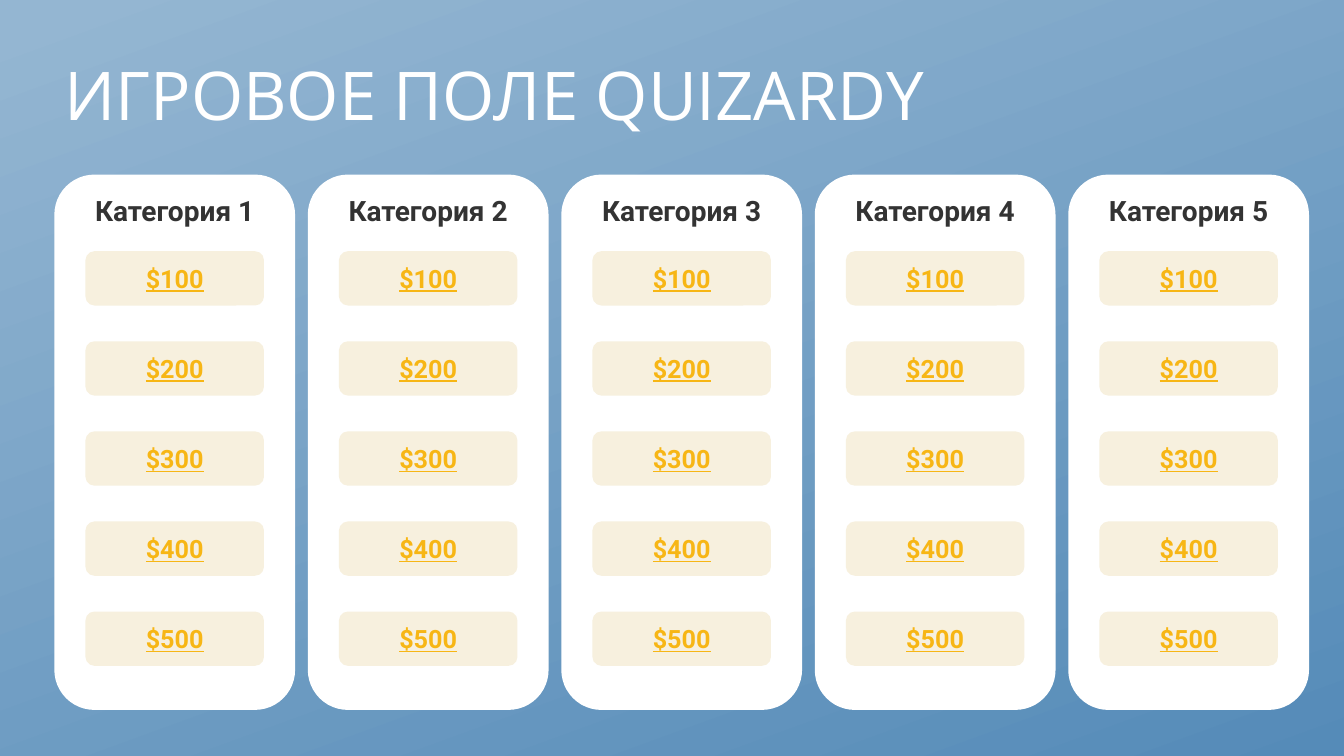
from pptx import Presentation
from pptx.dml.color import RGBColor
from pptx.enum.shapes import MSO_SHAPE
from pptx.enum.text import MSO_ANCHOR, MSO_AUTO_SIZE, PP_ALIGN
from pptx.util import Cm, Pt

CARD_SHAPE = MSO_SHAPE.FLOWCHART_ALTERNATE_PROCESS
TOP, MIDDLE = MSO_ANCHOR.TOP, MSO_ANCHOR.MIDDLE
LEFT, CENTER = PP_ALIGN.LEFT, PP_ALIGN.CENTER
NO_AUTOFIT = MSO_AUTO_SIZE.NONE
TITLE_ONLY = 5

TITLE_FONT, BODY_FONT = "Open Sans", "Roboto"
WHITE, DARK, CREAM, GOLD = "FFFFFF", "333333", "F7F0DE", "F7B615"
GRADIENT = [(0.02, "94B6D2"), (1.0, "558BB8")]

CATEGORIES = [f"Категория {number}" for number in range(1, 6)]
PRICES = [f"${value}" for value in range(100, 600, 100)]


def color(hex_string):
    return RGBColor.from_string(hex_string)


def set_text(shape, text, font_name, size, hex_string, align, anchor,
             bold=False, underline=False):
    """Write one paragraph and format it."""
    text_frame = shape.text_frame
    text_frame.text = text
    text_frame.word_wrap = True
    text_frame.vertical_anchor = anchor
    paragraph = text_frame.paragraphs[0]
    paragraph.alignment = align
    font = paragraph.runs[0].font
    font.name, font.size = font_name, Pt(size)
    font.bold, font.underline = bold, underline
    font.color.rgb = color(hex_string)


def add_card(slide, left, top, width, height, fill):
    shape = slide.shapes.add_shape(CARD_SHAPE, left, top, width, height)
    shape.shadow.inherit = False
    shape.fill.solid()
    shape.fill.fore_color.rgb = color(fill)
    shape.line.fill.background()
    return shape


def set_background(slide):
    fill = slide.background.fill
    fill.gradient()
    fill.gradient_angle = 290
    for stop, (position, hex_string) in zip(fill.gradient_stops, GRADIENT):
        stop.position = position
        stop.color.rgb = color(hex_string)


def place_title(slide, text, left, top, width, height):
    title = slide.shapes.title
    title.left, title.top, title.width, title.height = left, top, width, height
    set_text(title, text, TITLE_FONT, 48, WHITE, LEFT, MIDDLE)
    title.text_frame.auto_size = NO_AUTOFIT
    title.text_frame.paragraphs[0].line_spacing = 0.9


def add_category(slide, name, left, top, width, height):
    """Column card with its heading and a stack of price buttons."""
    column = add_card(slide, left, top, width, height, WHITE)
    set_text(column, name, BODY_FONT, 20, DARK, CENTER, TOP, bold=True)
    column.text_frame.margin_top = Cm(0.18)

    # Price buttons
    button_width, button_height = Cm(4.5), Cm(1.37)
    button_left = left + (width - button_width) // 2
    for row, price in enumerate(PRICES):
        button_top = top + Cm(1.93) + row * Cm(2.27)
        button = add_card(slide, button_left, button_top,
                          button_width, button_height, CREAM)
        set_text(button, price, BODY_FONT, 18, GOLD, CENTER, MIDDLE,
                 bold=True, underline=True)


def add_board(slide, left, top, width, height):
    """Equal category columns across the given box."""
    gap = Cm(0.32)
    count = len(CATEGORIES)
    column_width = (width - gap * (count - 1)) // count
    for index, name in enumerate(CATEGORIES):
        column_left = left + index * (column_width + gap)
        add_category(slide, name, column_left, top, column_width, height)


def main():
    presentation = Presentation()
    presentation.slide_width, presentation.slide_height = Cm(33.87), Cm(19.05)
    slide = presentation.slides.add_slide(presentation.slide_layouts[TITLE_ONLY])
    set_background(slide)
    place_title(slide, "ИГРОВОЕ ПОЛЕ QUIZARDY",
                Cm(1.37), Cm(0.64), Cm(29.21), Cm(3.68))
    add_board(slide, Cm(1.37), Cm(4.4), Cm(31.62), Cm(13.49))
    presentation.save("out.pptx")


if __name__ == "__main__":
    main()
